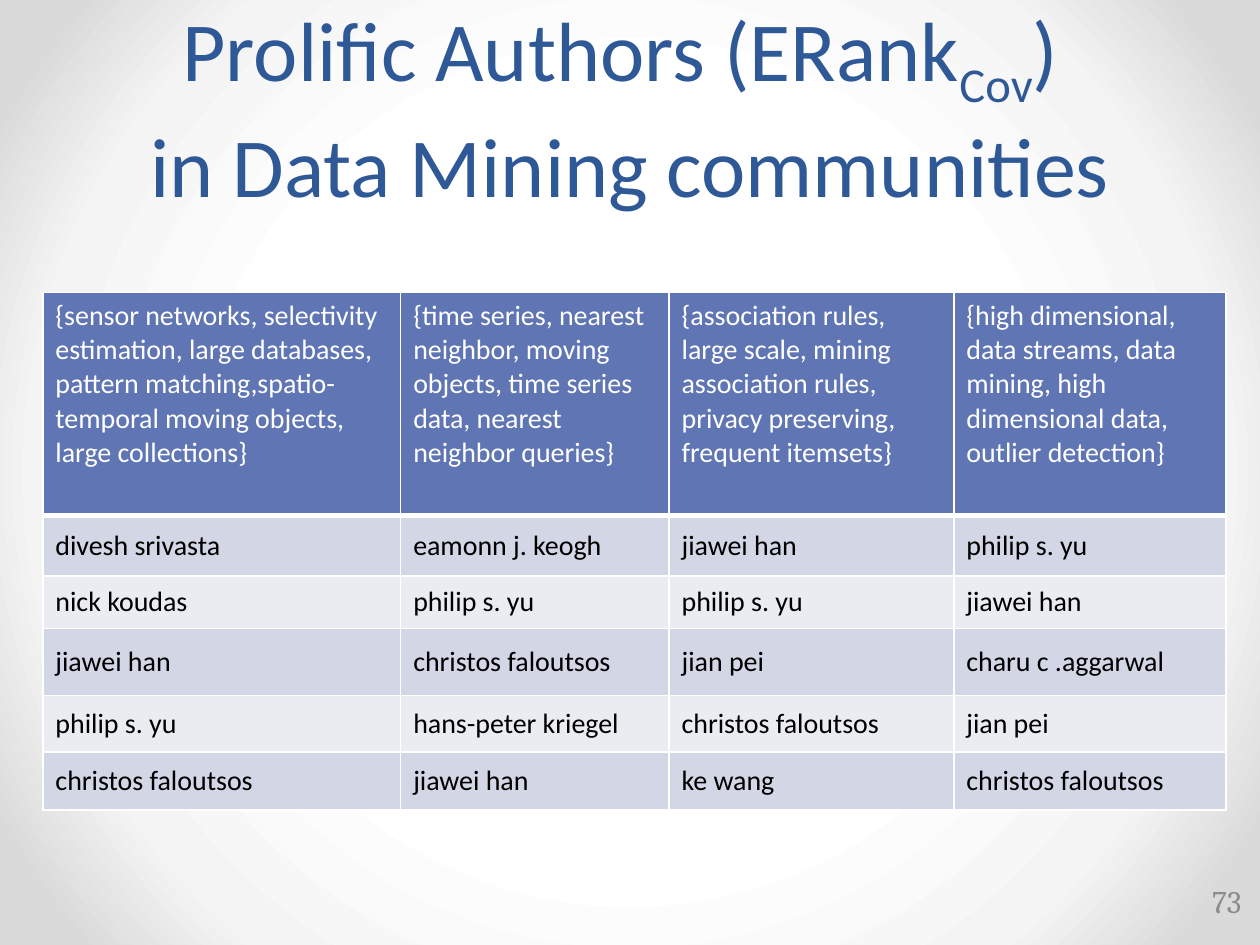
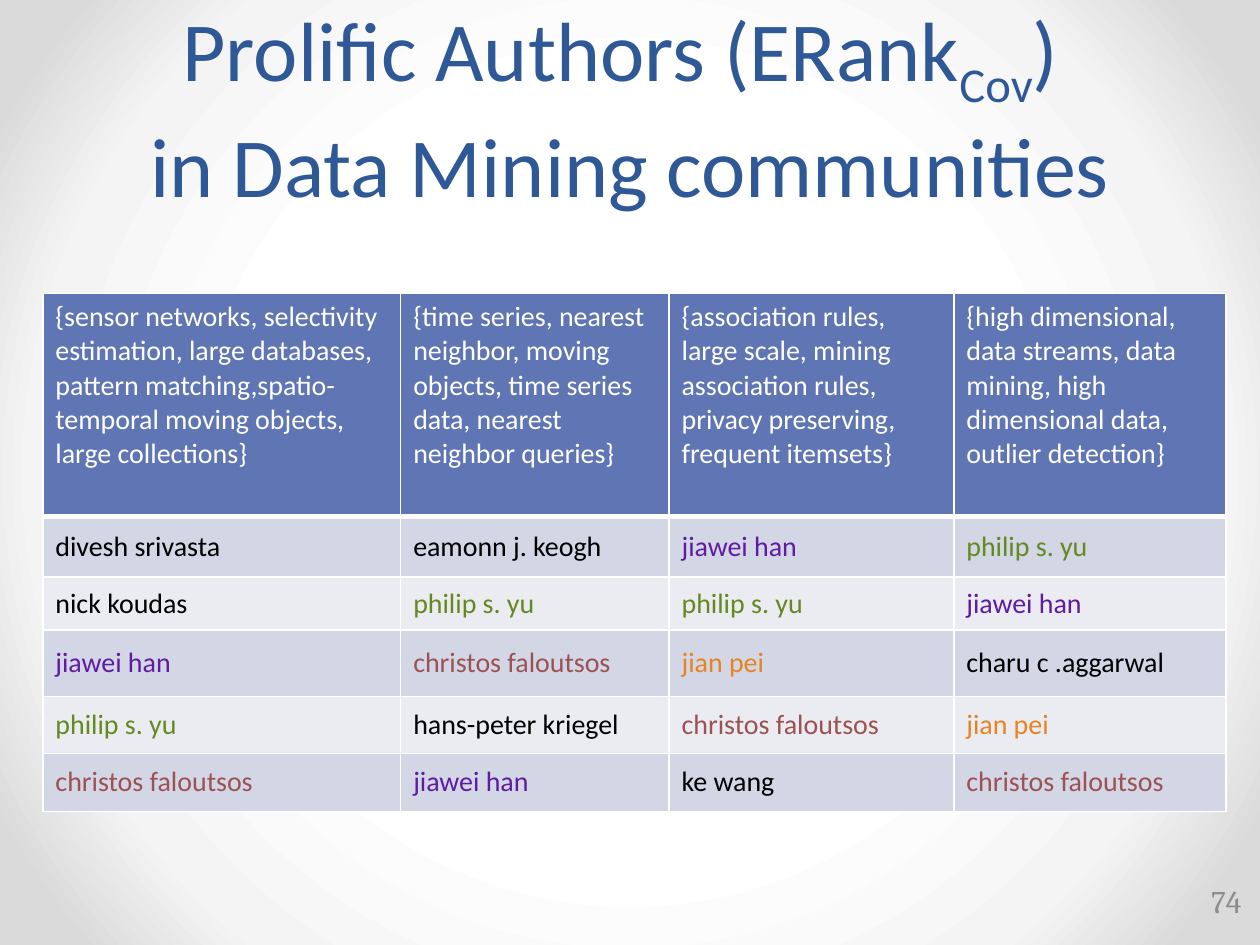
from pptx import Presentation
from pptx import util as u
from pptx.dml.color import RGBColor
from pptx.enum import text
from pptx.oxml import parse_xml
from pptx.oxml.ns import nsdecls

TITLE_BLUE = RGBColor(0x2F, 0x58, 0x97)
HEADER_BLUE = RGBColor(0x60, 0x76, 0xB4)
BAND_DARK = RGBColor(0xD2, 0xD6, 0xE5)
BAND_LIGHT = RGBColor(0xEA, 0xEC, 0xF2)
WHITE = RGBColor(0xFF, 0xFF, 0xFF)
BLACK = RGBColor(0, 0, 0)
NUMBER_GRAY = RGBColor(0x8C, 0x8C, 0x8C)
PURPLE = RGBColor(0x5F, 0x1B, 0xA2)
GREEN = RGBColor(0x63, 0x89, 0x1F)
RED = RGBColor(0x9C, 0x52, 0x52)
ORANGE = RGBColor(0xE6, 0x84, 0x22)

BACKDROP_STOPS = [(50, WHITE), (76, RGBColor(0xF4, 0xF4, 0xF4)), (92, RGBColor(0xDA, 0xDA, 0xDA))]
COLUMN_WIDTHS = [2.84, 2.13, 2.26, 2.16]
ROW_HEIGHTS = [1.77, 0.48, 0.42, 0.53, 0.45, 0.46]

COMMUNITIES = [
    "{sensor networks, selectivity estimation, large databases, pattern matching,spatio- "
    "temporal moving objects, large collections}",
    "{time series, nearest neighbor, moving objects, time series data, nearest neighbor queries}",
    "{association rules, large scale, mining association rules, privacy preserving, frequent itemsets}",
    "{high dimensional, data streams, data mining, high dimensional data, outlier detection}",
]
AUTHORS = [
    ["divesh srivasta", "eamonn j. keogh", "jiawei han", "philip s. yu"],
    ["nick koudas", "philip s. yu", "philip s. yu", "jiawei han"],
    ["jiawei han", "christos faloutsos", "jian pei", "charu c .aggarwal"],
    ["philip s. yu", "hans-peter kriegel", "christos faloutsos", "jian pei"],
    ["christos faloutsos", "jiawei han", "ke wang", "christos faloutsos"],
]
SHARED_AUTHORS = {
    "jiawei han": PURPLE,
    "philip s. yu": GREEN,
    "christos faloutsos": RED,
    "jian pei": ORANGE,
}


class Deck:
    def __init__(self):
        self.presentation = Presentation()
        self.presentation.slide_width = u.Inches(10)
        self.presentation.slide_height = u.Inches(7.5)
        self.slide = None
        self.paint_backdrop()

    def paint_backdrop(self):
        fill = self.presentation.slide_master.background.fill
        fill.solid()
        fill.fore_color.rgb = WHITE
        properties = self.presentation.slide_master.element.find(".//" + "{*}bgPr")
        stops = "".join(
            f'<a:gs pos="{position * 1000}"><a:srgbClr val="{color}"/></a:gs>'
            for position, color in BACKDROP_STOPS
        )
        properties.replace(properties[0], parse_xml(
            f'<a:gradFill {nsdecls("a")} rotWithShape="1"><a:gsLst>{stops}</a:gsLst>'
            '<a:path path="circle"><a:fillToRect l="50000" t="50000" r="50000" b="50000"/></a:path>'
            '</a:gradFill>'))

    def add_slide(self):
        self.slide = self.presentation.slides.add_slide(self.presentation.slide_layouts[5])

    def add_run(self, paragraph, words, size, color, font="Calibri"):
        run = paragraph.add_run()
        run.text = words
        run.font.name = font
        run.font.size = u.Pt(size)
        run.font.bold = False
        run.font.color.rgb = color
        return run

    def add_title(self, before, subscript, after, second_line):
        title = self.slide.shapes.title
        title.left, title.top = u.Inches(0.5), u.Inches(0)
        title.width, title.height = u.Inches(9), u.Inches(1.75)
        frame = title.text_frame
        frame.auto_size = text.MSO_AUTO_SIZE.NONE
        frame.vertical_anchor = text.MSO_ANCHOR.BOTTOM
        paragraph = frame.paragraphs[0]
        paragraph.alignment = text.PP_ALIGN.CENTER
        paragraph.line_spacing = u.Pt(58)
        self.add_run(paragraph, before, 48, TITLE_BLUE)
        lowered = self.add_run(paragraph, subscript, 48, TITLE_BLUE)
        lowered.font._element.set("baseline", "-25000")
        self.add_run(paragraph, after, 48, TITLE_BLUE)
        paragraph.add_line_break()
        self.add_run(paragraph, second_line, 48, TITLE_BLUE)

    def set_borders(self, cell, top, bottom):
        properties = cell._tc.get_or_add_tcPr()
        for side, width in (("L", 1), ("R", 1), ("T", top), ("B", bottom)):
            properties.append(parse_xml(
                f'<a:ln{side} {nsdecls("a")} w="{u.Pt(width)}"><a:solidFill>'
                f'<a:srgbClr val="{WHITE}"/></a:solidFill></a:ln{side}>'))

    def add_author_table(self, top, highlights):
        rows = [COMMUNITIES] + AUTHORS
        table = self.slide.shapes.add_table(
            len(rows), len(COLUMN_WIDTHS), u.Inches(0.34), u.Inches(top),
            u.Inches(sum(COLUMN_WIDTHS)), u.Inches(sum(ROW_HEIGHTS))).table
        for column, width in zip(table.columns, COLUMN_WIDTHS):
            column.width = u.Inches(width)
        for index, (row, height, entries) in enumerate(zip(table.rows, ROW_HEIGHTS, rows)):
            row.height = u.Inches(height)
            header = index == 0
            band = HEADER_BLUE if header else BAND_DARK if index % 2 else BAND_LIGHT
            for cell, entry in zip(row.cells, entries):
                self.set_borders(cell, 3 if index == 1 else 1, 3 if header else 1)
                cell.fill.solid()
                cell.fill.fore_color.rgb = band
                cell.vertical_anchor = text.MSO_ANCHOR.TOP if header else text.MSO_ANCHOR.MIDDLE
                color = WHITE if header else highlights.get(entry, BLACK)
                self.add_run(cell.text_frame.paragraphs[0], entry, 16, color)

    def add_number(self, number):
        box = self.slide.shapes.add_textbox(
            u.Inches(9.34), u.Inches(6.95), u.Inches(0.61), u.Inches(0.4))
        frame = box.text_frame
        frame.word_wrap = True
        frame.vertical_anchor = text.MSO_ANCHOR.MIDDLE
        paragraph = frame.paragraphs[0]
        paragraph.alignment = text.PP_ALIGN.RIGHT
        self.add_run(paragraph, str(number), 18, NUMBER_GRAY, "Cambria")


def main():
    deck = Deck()
    for number, top, highlights in ((73, 2.32, {}), (74, 2.33, SHARED_AUTHORS)):
        deck.add_slide()
        deck.add_title("Prolific Authors (ERank", "Cov", ") ", "in Data Mining communities")
        deck.add_author_table(top, highlights)
        deck.add_number(number)
    deck.presentation.save("out.pptx")


if __name__ == "__main__":
    main()
